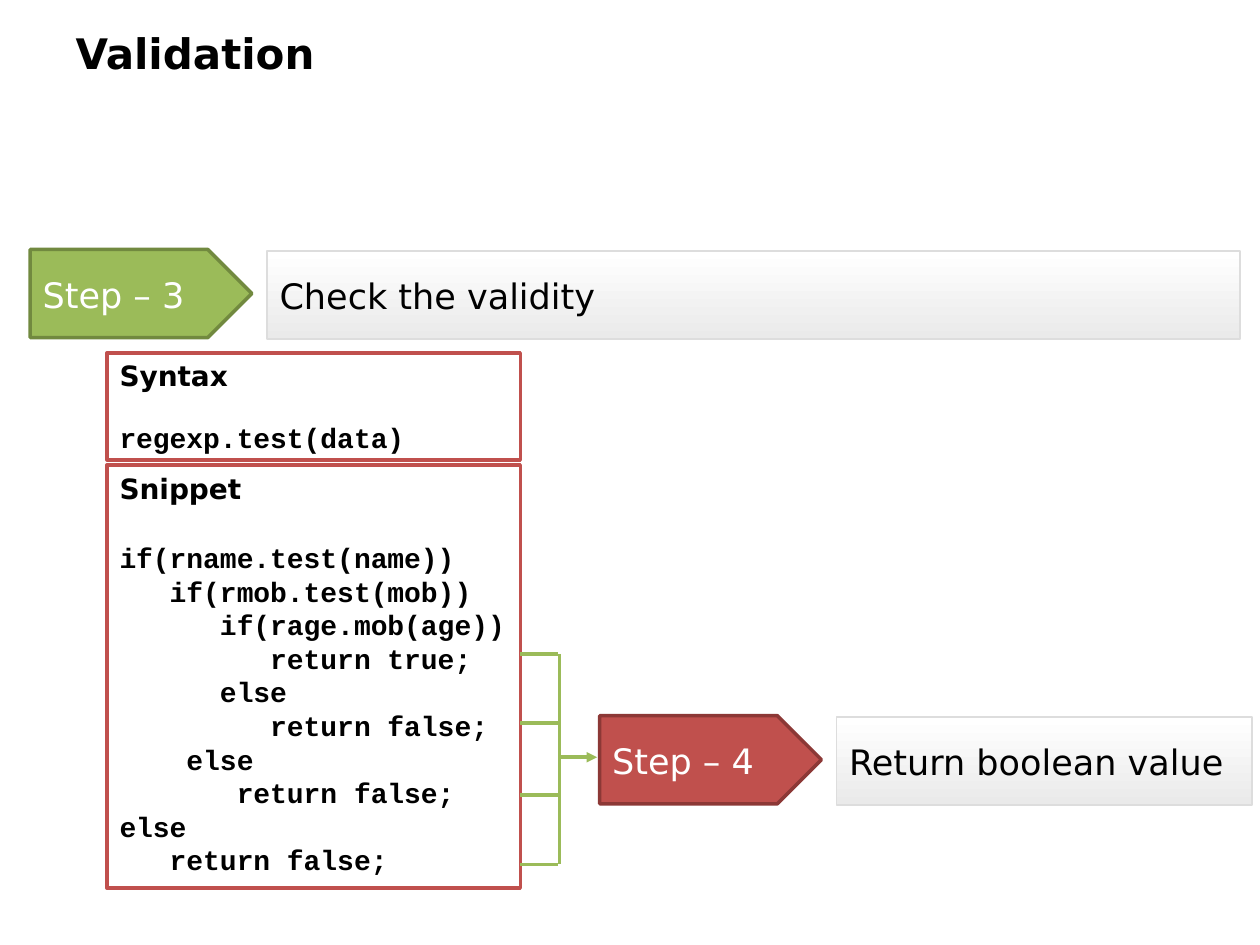
from dataclasses import dataclass

from lxml.etree import SubElement
from pptx import Presentation
from pptx.dml.color import RGBColor as RGB
from pptx.enum.shapes import MSO_CONNECTOR as CONN, MSO_SHAPE as SHAPE
from pptx.enum.text import MSO_ANCHOR as ANCHOR, MSO_AUTO_SIZE as FIT, PP_ALIGN as ALIGN
from pptx.oxml.ns import qn
from pptx.util import Inches, Pt


@dataclass(frozen=True)
class Theme:
    sans: str = "DejaVu Sans"
    mono: str = "Courier New"
    title: int = 24
    label: int = 20
    code: int = 16
    black: str = "000000"
    white: str = "FFFFFF"
    grey: str = "EAEAEA"
    grey_edge: str = "DDDDDD"
    green: str = "9BBB59"
    green_edge: str = "71893F"
    red: str = "C0504D"
    red_edge: str = "8C3836"


T = Theme()

SNIPPET = [
    "if(rname.test(name))",
    "   if(rmob.test(mob))",
    "      if(rage.mob(age))",
    "         return true;",
    "      else",
    "         return false;",
    "    else",
    "       return false;",
    "else",
    "   return false;",
]


def style(p, size, color=T.black, font=T.sans, bold=False):
    for r in p.runs:
        r.font.name, r.font.size, r.font.bold = font, Pt(size), bold
        r.font.color.rgb = RGB.from_string(color)


def outline(sp, color, width):
    sp.shadow.inherit = False
    sp.line.color.rgb = RGB.from_string(color)
    sp.line.width = Pt(width)


def paint(sp, color):
    sp.fill.solid()
    sp.fill.fore_color.rgb = RGB.from_string(color)


def set_margins(tf, x, y):
    tf.margin_left = tf.margin_right = Inches(x)
    tf.margin_top = tf.margin_bottom = Inches(y)


def add_title(s, text, x, y, w, h):
    sp = s.shapes.title
    sp.left, sp.top, sp.width, sp.height = map(Inches, (x, y, w, h))
    tf = sp.text_frame
    tf.text = text
    tf.auto_size = FIT.NONE
    tf.vertical_anchor = ANCHOR.MIDDLE
    p = tf.paragraphs[0]
    p.alignment = ALIGN.LEFT
    style(p, T.title, bold=True)


def set_label(sp, text, color):
    tf = sp.text_frame
    tf.text = text
    tf.word_wrap = True
    tf.vertical_anchor = ANCHOR.MIDDLE
    set_margins(tf, 0.1, 0.1)
    p = tf.paragraphs[0]
    p.alignment = ALIGN.JUSTIFY
    p.line_spacing, p.space_after = Pt(25), Pt(5)
    style(p, T.label, color)


def add_step(s, step, text, x, y, bar_w, fill, edge):
    """Place a pointed step tag and, to its right, a bar that says what the step does."""
    tag_w, h, gap = 1.76, 0.7, 0.12
    bar = s.shapes.add_shape(SHAPE.RECTANGLE, Inches(x + tag_w + gap), Inches(y + 0.01),
                             Inches(bar_w), Inches(h))
    bar.fill.gradient()
    bar.fill.gradient_angle = 270
    for stop, color in zip(bar.fill.gradient_stops, (T.white, T.grey)):
        stop.color.rgb = RGB.from_string(color)
    outline(bar, T.grey_edge, 1)
    set_label(bar, text, T.black)

    shoulder = x + tag_w - h / 2
    points = [(shoulder, y), (x + tag_w, y + h / 2), (shoulder, y + h), (x, y + h)]
    path = s.shapes.build_freeform(Inches(x), Inches(y))
    path.add_line_segments([(Inches(px), Inches(py)) for px, py in points])
    tag = path.convert_to_shape()
    paint(tag, fill)
    outline(tag, edge, 2)
    set_label(tag, step, T.white)


def add_code_box(s, heading, lines, gap, x, y, w, h):
    sp = s.shapes.add_shape(SHAPE.RECTANGLE, *map(Inches, (x, y, w, h)))
    paint(sp, T.white)
    outline(sp, T.red, 2)
    tf = sp.text_frame
    tf.word_wrap = True
    tf.vertical_anchor = ANCHOR.TOP
    set_margins(tf, 0.1, 0.05)
    tf.text = "\n".join([heading, *lines])
    head, *code = tf.paragraphs
    head.alignment = ALIGN.LEFT
    style(head, T.code, bold=True)
    for p in code:
        p.alignment = ALIGN.LEFT
        p.line_spacing = Pt(19.2)
        style(p, T.code, font=T.mono, bold=True)
    code[0].space_before = Pt(gap)


def add_line(shapes, x1, y1, x2, y2, arrow=False):
    c = shapes.add_connector(CONN.STRAIGHT, *map(Inches, (x1, y1, x2, y2)))
    c.line.color.rgb = RGB.from_string(T.green)
    c.line.width = Pt(2)
    if arrow:
        SubElement(c.line._get_or_add_ln(), qn("a:tailEnd"), type="triangle")
    SubElement(c._element.spPr, qn("a:effectLst"))


def add_return_bracket(s, x, rows, arrow_y):
    """Gather the return lines at the given heights into one arrow."""
    shapes = s.shapes.add_group_shape().shapes
    reach = 0.3
    spine = x + reach + 0.01
    for y in rows:
        add_line(shapes, x, y, x + reach, y)
    add_line(shapes, spine, rows[0], spine, rows[-1])
    add_line(shapes, spine, arrow_y, spine + reach, arrow_y, arrow=True)


def main():
    prs = Presentation()
    prs.slide_width, prs.slide_height = Inches(10), Inches(7.5)
    s = prs.slides.add_slide(prs.slide_layouts[5])

    add_title(s, "Validation", 0.5, 0.21, 9, 0.42)
    add_step(s, "Step – 3", "Check the validity", 0.24, 1.98, 7.72, T.green, T.green_edge)
    code_x, code_w = 0.85, 3.28
    add_code_box(s, "Syntax", ["regexp.test(data)"], 16, code_x, 2.8, code_w, 0.85)
    add_code_box(s, "Snippet", SNIPPET, 20.5, code_x, 3.69, code_w, 3.36)
    add_return_bracket(s, code_x + code_w, [5.19, 5.74, 6.31, 6.86], 6.01)
    add_step(s, "Step – 4", "Return boolean value", 4.76, 5.68, 3.3, T.red, T.red_edge)

    prs.save("out.pptx")


if __name__ == "__main__":
    main()
